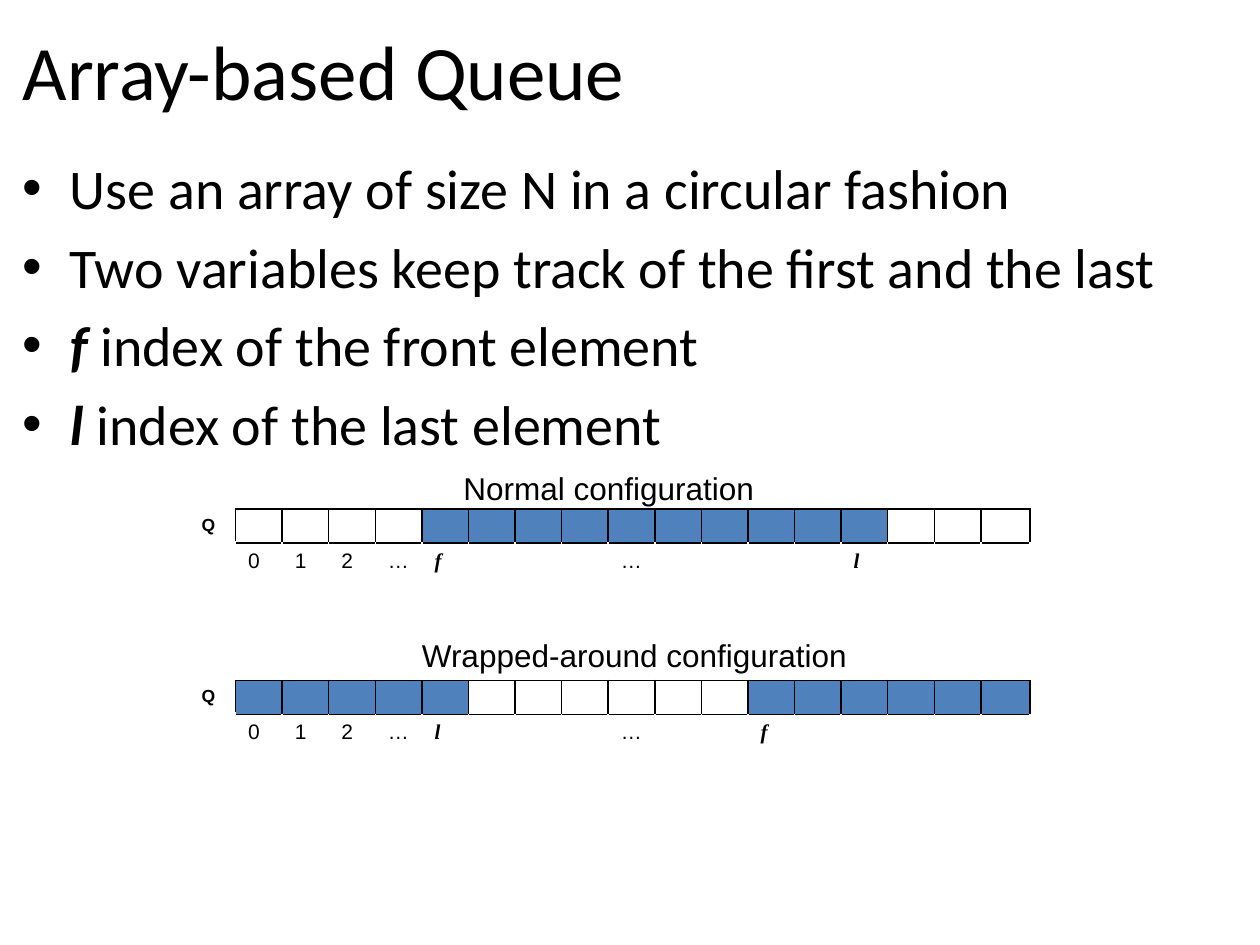
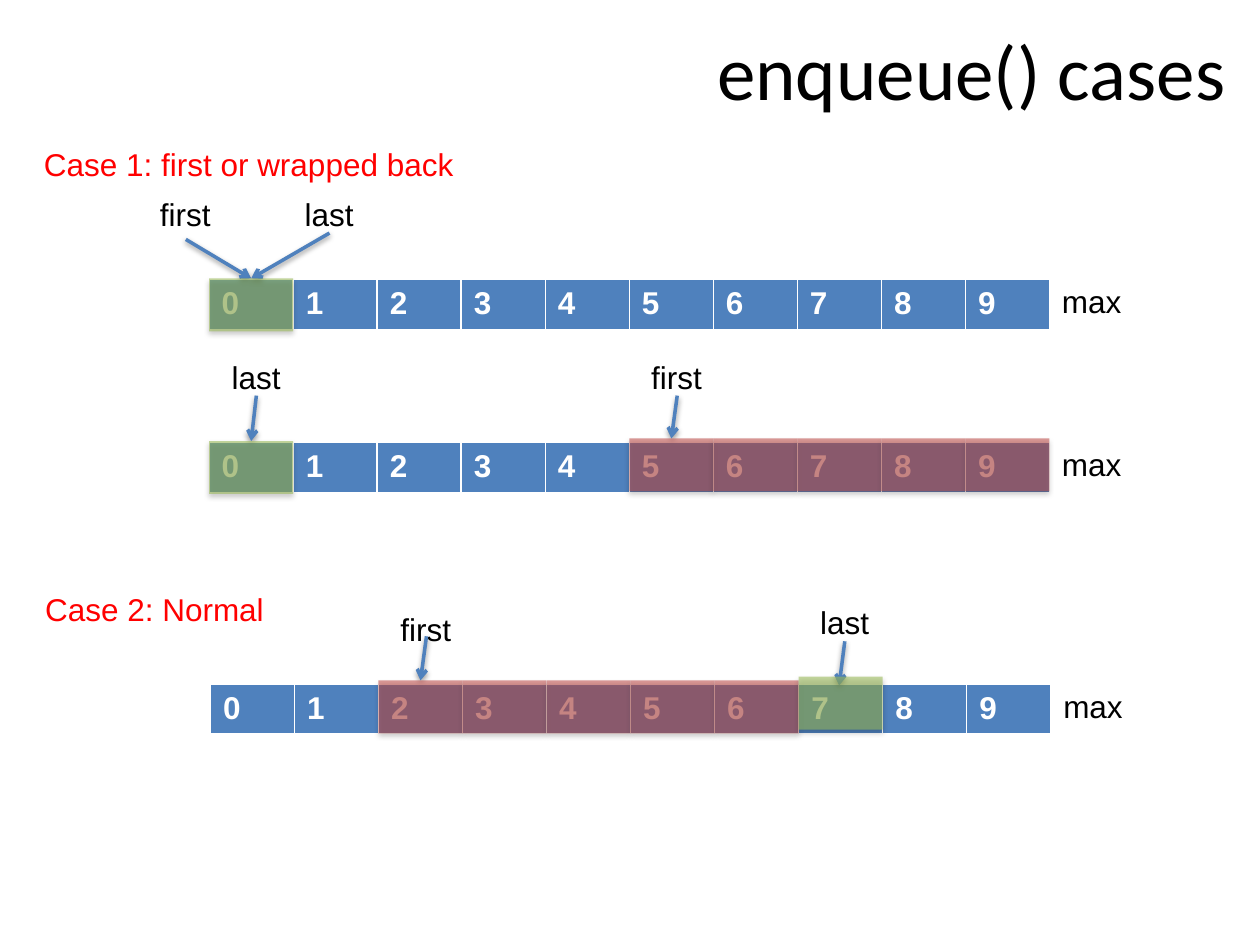
from dataclasses import dataclass

from lxml.etree import SubElement
from pptx import Presentation
from pptx.dml.color import RGBColor
from pptx.enum.shapes import MSO_CONNECTOR as Connector, MSO_SHAPE as Shape
from pptx.enum.text import MSO_AUTO_SIZE as AutoSize, PP_ALIGN as Align
from pptx.oxml.ns import qn
from pptx.util import Inches, Pt

BLACK, WHITE, RED = "000000", "FFFFFF", "FF0000"
BLUE, USED, NEXT = "4F81BD", "C0504D", "9BBB59"
SLOTS = 17
SLOT_WIDTH = 0.37
QUEUE_WIDTH = 6.67
QUEUE_SIZE = 10
CELL = QUEUE_WIDTH / QUEUE_SIZE
LABEL_HEIGHT = 0.4
LABEL_WIDTHS = {"first": 0.61, "last": 0.59}


@dataclass
class Configuration:
    """A captioned array with its filled slots and index labels."""
    caption: str
    caption_box: tuple[float, float, float]
    top: float
    filled: set[int]
    front: int
    last: int


@dataclass
class Highlight:
    """A run of translucent cells over a queue."""
    start: int
    count: int
    color: str
    top: float


@dataclass
class Pointer:
    """A label whose arrow ends at a highlight or at a free point."""
    name: str
    left: float
    top: float
    tip: tuple[float, float]
    target: int | None = None
    gap: float = 0.05


@dataclass
class Queue:
    """A ten-cell queue with its highlights and pointers."""
    left: float
    top: float
    highlights: list[Highlight]
    pointers: list[Pointer]


CONFIGURATIONS = [
    Configuration("Normal configuration", (3.58, 3.67, 2.53), 4.04,
                  set(range(4, 14)), front=4, last=13),
    Configuration("Wrapped-around configuration", (3.25, 5, 3.61), 5.4,
                  set(range(5)) | set(range(11, SLOTS)), front=11, last=4),
]

QUEUES = [
    Queue(1.66, 2.22, [Highlight(0, 1, NEXT, 2.21)],
          [Pointer("first", 1.17, 1.5, (2, 2.2), target=0, gap=0),
           Pointer("last", 2.32, 1.5, (2, 2.21), target=0)]),
    Queue(1.66, 3.51, [Highlight(5, 5, USED, 3.48), Highlight(0, 1, NEXT, 3.5)],
          [Pointer("first", 5.07, 2.79, (5.32, 3.48), target=0),
           Pointer("last", 1.74, 2.79, (1.99, 3.48), target=1)]),
    Queue(1.67, 5.43, [Highlight(2, 5, USED, 5.4), Highlight(7, 1, NEXT, 5.37)],
          [Pointer("first", 3.08, 4.79, (3.33, 5.4), target=0, gap=0.14),
           Pointer("last", 6.41, 4.74, (6.66, 5.44))]),
]


def rgb(color: str) -> RGBColor:
    """Turn a hex string into a colour."""
    return RGBColor.from_string(color)


def write(p, text: str, *, size: float = 18, font: str = "Arial",
          color: str = BLACK, bold: bool = False, italic: bool = False) -> None:
    """Add a formatted run to a paragraph."""
    r = p.add_run()
    r.text = text
    r.font.size, r.font.name = Pt(size), font
    r.font.bold, r.font.italic = bold, italic
    r.font.color.rgb = rgb(color)


def place(sp, left: float, top: float, width: float, height: float) -> None:
    """Move and size a placeholder."""
    sp.left, sp.top = Inches(left), Inches(top)
    sp.width, sp.height = Inches(width), Inches(height)


def add_slide(prs, layout: int, title: str, align: Align):
    """Add a slide with its formatted title."""
    s = prs.slides.add_slide(prs.slide_layouts[layout])
    place(s.shapes.title, 0.08, 0.08, 9.75, 0.95)
    p = s.shapes.title.text_frame.paragraphs[0]
    p.alignment = align
    write(p, title, size=44, font="Calibri")
    return s


def add_label(s, text: str, left: float, top: float, width: float,
              color: str = BLACK):
    """Add a one-line label."""
    sp = s.shapes.add_textbox(Inches(left), Inches(top), Inches(width),
                              Inches(LABEL_HEIGHT))
    tf = sp.text_frame
    tf.word_wrap = False
    tf.auto_size = AutoSize.SHAPE_TO_FIT_TEXT
    write(tf.paragraphs[0], text, color=color)
    return sp


def add_shadow(sp, alpha: int, distance: float) -> None:
    """Give a shape a soft shadow that falls straight down."""
    effects = SubElement(sp._element.spPr, qn("a:effectLst"))
    shadow = SubElement(effects, qn("a:outerShdw"), blurRad=str(Pt(3.1)),
                        dist=str(Pt(distance)), dir="5400000", rotWithShape="0")
    color = SubElement(shadow, qn("a:srgbClr"), val=BLACK)
    SubElement(color, qn("a:alpha"), val=str(alpha * 1000))


def style_cell(cell, fill: str, left: str, right: str, top: str, bottom: str,
               bottom_width: float = 1) -> None:
    """Set the borders and fill of a table cell."""
    tc_pr = cell._tc.get_or_add_tcPr()
    borders = (("L", left, 1), ("R", right, 1), ("T", top, 1),
               ("B", bottom, bottom_width))
    for side, color, width in borders:
        ln = SubElement(tc_pr, qn(f"a:ln{side}"), w=str(Pt(width)))
        SubElement(SubElement(ln, qn("a:solidFill")), qn("a:srgbClr"), val=color)
    cell.fill.solid()
    cell.fill.fore_color.rgb = rgb(fill)


def add_grid(s, left: float, top: float, widths: list[float],
             heights: list[float]):
    """Add an unbanded table with the given columns and rows."""
    table = s.shapes.add_table(
        len(heights), len(widths), Inches(left), Inches(top),
        Inches(sum(widths)), Inches(sum(heights))).table
    table.first_row = table.horz_banding = False
    for column, width in zip(table.columns, widths):
        column.width = Inches(width)
    for row, height in zip(table.rows, heights):
        row.height = Inches(height)
    return table


def add_configuration(s, conf: Configuration) -> None:
    """Draw an array with its indices and caption."""
    widths = [SLOT_WIDTH] * SLOTS + [0.39]
    table = add_grid(s, 1.5, conf.top, widths, [0.27, 0.3])
    indices = {0: "0", 1: "1", 2: "2", 3: "…", 8: "…",
               conf.front: "f", conf.last: "l"}
    style_cell(table.cell(0, 0), WHITE, WHITE, BLACK, WHITE, WHITE, 3)
    style_cell(table.cell(1, 0), WHITE, WHITE, WHITE, WHITE, WHITE)
    write(table.cell(0, 0).text_frame.paragraphs[0], "Q", size=10, bold=True)
    for slot in range(SLOTS):
        fill = BLUE if slot in conf.filled else WHITE
        style_cell(table.cell(0, slot + 1), fill, BLACK, BLACK, BLACK, BLACK)
        index = table.cell(1, slot + 1)
        style_cell(index, WHITE, WHITE, WHITE, BLACK, WHITE)
        if slot in indices:
            variable = slot in (conf.front, conf.last)
            write(index.text_frame.paragraphs[0], indices[slot], size=12,
                  font="Times New Roman" if variable else "Arial",
                  bold=variable, italic=variable)
    for cell in table.iter_cells():
        if not cell.text:
            p = cell.text_frame.paragraphs[0]
            SubElement(p._p, qn("a:endParaRPr"), sz="1000")
    add_label(s, conf.caption, *conf.caption_box)


def add_pointer(s, pointer: Pointer):
    """Draw a label and its arrow, and return the arrow."""
    width = LABEL_WIDTHS[pointer.name]
    label = add_label(s, pointer.name, pointer.left, pointer.top, width)
    x, y = pointer.tip
    arrow = s.shapes.add_connector(
        Connector.STRAIGHT, Inches(pointer.left + width / 2),
        Inches(pointer.top + LABEL_HEIGHT - pointer.gap), Inches(x), Inches(y))
    arrow.line.color.rgb = rgb(BLUE)
    arrow.line.width = Pt(2)
    SubElement(arrow.line._get_or_add_ln(), qn("a:tailEnd"), type="arrow")
    add_shadow(arrow, 38, 1.6)
    if not pointer.gap:
        arrow.begin_connect(label, 2)
    return arrow


def add_highlight(s, left: float, highlight: Highlight):
    """Draw translucent cells and return the first one."""
    cells = []
    for i in range(highlight.start, highlight.start + highlight.count):
        sp = s.shapes.add_shape(Shape.RECTANGLE, Inches(left + i * CELL),
                                Inches(highlight.top), Inches(CELL), Inches(0.42))
        sp.fill.solid()
        sp.fill.fore_color.rgb = rgb(highlight.color)
        color = sp._element.spPr.find(qn("a:solidFill")).find(qn("a:srgbClr"))
        SubElement(color, qn("a:alpha"), val="58000")
        sp.line.fill.background()
        add_shadow(sp, 35, 1.8)
        cells.append(sp)
    return cells[0]


def add_queue(s, queue: Queue) -> None:
    """Draw a numbered queue with its pointers and highlights."""
    table = add_grid(s, queue.left, queue.top, [CELL] * QUEUE_SIZE, [0.41])
    for i, cell in enumerate(table.iter_cells()):
        style_cell(cell, BLUE, WHITE, WHITE, WHITE, WHITE, 3)
        write(cell.text_frame.paragraphs[0], str(i), color=WHITE, bold=True)
    add_label(s, "max", queue.left + QUEUE_WIDTH, queue.top - 0.03, 0.68)
    arrows = [add_pointer(s, pointer) for pointer in queue.pointers]
    targets = [add_highlight(s, queue.left, h) for h in queue.highlights]
    for arrow, pointer in zip(arrows, queue.pointers):
        if pointer.target is not None:
            arrow.end_connect(targets[pointer.target], 0)


def build_array_slide(prs) -> None:
    """Build the slide on the array-based queue."""
    s = add_slide(prs, 1, "Array-based Queue", Align.LEFT)
    body = s.placeholders[1]
    place(body, 0.08, 1.17, 9.75, 5.67)
    bullets = [("", "Use an array of size N in a circular fashion"),
               ("", "Two variables keep track of the first and the last"),
               ("f", " index of the front element"),
               ("l", " index of the last element")]
    tf = body.text_frame
    for i, (variable, text) in enumerate(bullets):
        p = tf.add_paragraph() if i else tf.paragraphs[0]
        if variable:
            write(p, variable, size=32, font="Calibri", bold=True, italic=True)
        write(p, text, size=32, font="Calibri")
    for conf in CONFIGURATIONS:
        add_configuration(s, conf)


def build_enqueue_slide(prs) -> None:
    """Build the slide on the enqueue cases."""
    s = add_slide(prs, 5, "enqueue() cases", Align.RIGHT)
    add_label(s, "Case 1: first or wrapped back", 0.25, 1.1, 3.49, RED)
    add_label(s, "Case 2: Normal", 0.26, 4.63, 1.96, RED)
    for queue in QUEUES:
        add_queue(s, queue)


def main() -> None:
    """Build and save the presentation."""
    prs = Presentation()
    prs.slide_width, prs.slide_height = Inches(10), Inches(7.5)
    build_array_slide(prs)
    build_enqueue_slide(prs)
    prs.save("out.pptx")


if __name__ == "__main__":
    main()
